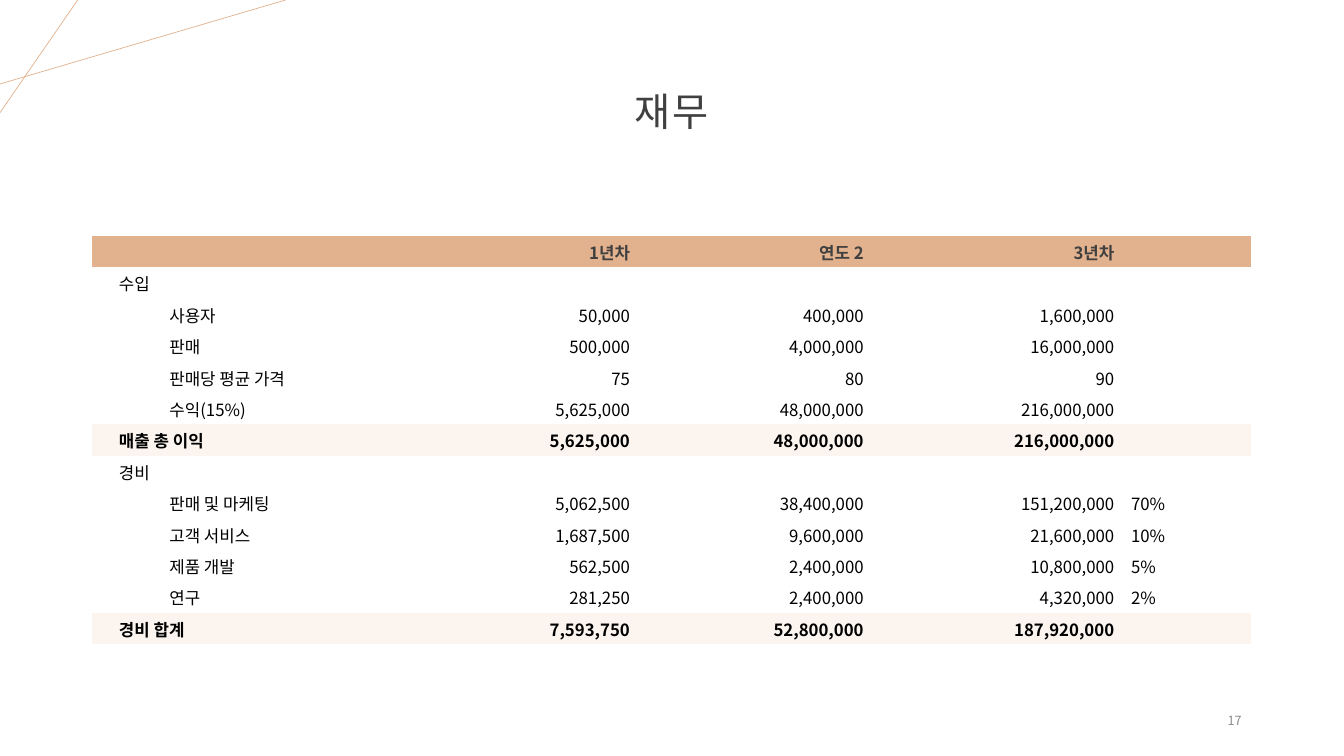
from dataclasses import dataclass

from lxml import etree
from pptx import Presentation
from pptx import util as u
from pptx.dml.color import RGBColor
from pptx.enum import shapes, text
from pptx.oxml.ns import qn

FONT = "Noto Sans CJK KR"
COLORS = {"accent": "E2B18D", "tint": "FBF4EF", "heading": "404040",
          "body": "000000", "muted": "8C8C8C"}
NO_GRID_STYLE = "{2D5ABB26-0587-4C30-8999-92F81FD0307C}"
TABLE_SIZE = 12
COLUMN_WIDTHS = (255, 135, 167, 179, 92)
ROW_HEIGHT = 22.43
LEFT, RIGHT, CENTER = text.PP_ALIGN.LEFT, text.PP_ALIGN.RIGHT, text.PP_ALIGN.CENTER
COLUMN_ALIGNS = (LEFT, RIGHT, RIGHT, RIGHT, LEFT)


@dataclass(frozen=True)
class RowStyle:
    fill: str | None = None
    color: str = "body"
    bold: bool = False
    level: int = 0


@dataclass(frozen=True)
class FinanceRow:
    style: RowStyle
    label: str
    years: tuple[str, str, str] = ("", "", "")
    share: str = ""


@dataclass(frozen=True)
class AccentLine:
    x1: float
    y1: float
    x2: float
    y2: float


HEADER = RowStyle(fill="accent", color="heading", bold=True)
SECTION = RowStyle()
ITEM = RowStyle(level=1)
TOTAL = RowStyle(fill="tint", bold=True)

ROWS = (
    FinanceRow(HEADER, "", ("1년차", "연도 2", "3년차")),
    FinanceRow(SECTION, "수입"),
    FinanceRow(ITEM, "사용자", ("50,000", "400,000", "1,600,000")),
    FinanceRow(ITEM, "판매", ("500,000", "4,000,000", "16,000,000")),
    FinanceRow(ITEM, "판매당 평균 가격", ("75", "80", "90")),
    FinanceRow(ITEM, "수익(15%)", ("5,625,000", "48,000,000", "216,000,000")),
    FinanceRow(TOTAL, "매출 총 이익", ("5,625,000", "48,000,000", "216,000,000")),
    FinanceRow(SECTION, "경비"),
    FinanceRow(ITEM, "판매 및 마케팅", ("5,062,500", "38,400,000", "151,200,000"), "70%"),
    FinanceRow(ITEM, "고객 서비스", ("1,687,500", "9,600,000", "21,600,000"), "10%"),
    FinanceRow(ITEM, "제품 개발", ("562,500", "2,400,000", "10,800,000"), "5%"),
    FinanceRow(ITEM, "연구", ("281,250", "2,400,000", "4,320,000"), "2%"),
    FinanceRow(TOTAL, "경비 합계", ("7,593,750", "52,800,000", "187,920,000")),
)
ACCENT_LINES = (AccentLine(0, 60, 204, 0), AccentLine(55.5, 0, 0, 80.5))


def rgb(name: str) -> RGBColor:
    return RGBColor.from_string(COLORS[name])


def write_text(frame, words: str, *, size: float, color: str, align,
               bold: bool = False, level: int = 0):
    """Fill the first paragraph of a text frame and return it."""
    para = frame.paragraphs[0]
    para.alignment = align
    para.level = level
    if words:
        span = para.add_run()
        span.text = words
        span.font.size = u.Pt(size)
        span.font.bold = bold
        span.font.color.rgb = rgb(color)
        span.font.name = FONT
    return para


def add_accent_line(page, line: AccentLine) -> None:
    connector = page.shapes.add_connector(
        shapes.MSO_CONNECTOR.STRAIGHT,
        *(u.Pt(value) for value in (line.x1, line.y1, line.x2, line.y2)))
    connector.line.color.rgb = rgb("accent")
    connector.line.width = u.Pt(0.5)
    etree.SubElement(connector.element.spPr, qn("a:effectLst"))


def format_title(page, words: str) -> None:
    title = page.shapes.title
    title.left, title.top = u.Pt(66), u.Pt(28.8)
    title.width, title.height = u.Pt(828), u.Pt(104.4)
    title.text_frame.vertical_anchor = text.MSO_ANCHOR.MIDDLE
    para = write_text(title.text_frame, words, size=28, color="heading", align=CENTER)
    para.line_spacing = 0.9
    for properties in title.element.iter(qn("a:rPr")):
        properties.set("spc", "150")


def add_page_number(page, number: str) -> None:
    box = page.shapes.add_textbox(u.Pt(678), u.Pt(500.4), u.Pt(216), u.Pt(28.8))
    box.text_frame.word_wrap = True
    box.text_frame.vertical_anchor = text.MSO_ANCHOR.MIDDLE
    write_text(box.text_frame, number, size=9, color="muted", align=RIGHT)


def format_cell(cell, words: str, column: int, style: RowStyle) -> None:
    cell.margin_left = u.Pt(19 if column == 0 else 6)
    cell.margin_right = u.Pt(6)
    cell.margin_top = cell.margin_bottom = u.Pt(3)
    cell.vertical_anchor = text.MSO_ANCHOR.MIDDLE
    if style.fill:
        cell.fill.solid()
        cell.fill.fore_color.rgb = rgb(style.fill)
    else:
        cell.fill.background()
    write_text(cell.text_frame, words, size=TABLE_SIZE, color=style.color,
               align=COLUMN_ALIGNS[column], bold=style.bold,
               level=style.level if column == 0 else 0)


def add_finance_table(page) -> None:
    box = page.shapes.add_table(
        len(ROWS), len(COLUMN_WIDTHS), u.Pt(66), u.Pt(168.5),
        u.Pt(sum(COLUMN_WIDTHS)), u.Pt(ROW_HEIGHT * len(ROWS)))
    table = box.table
    table.horz_banding = False
    for column, width in zip(table.columns, COLUMN_WIDTHS):
        column.width = u.Pt(width)
    for index, row in enumerate(ROWS):
        table.rows[index].height = u.Pt(ROW_HEIGHT)
        for column, words in enumerate((row.label, *row.years, row.share)):
            format_cell(table.cell(index, column), words, column, row.style)

    for style_id in box.element.iter(qn("a:tableStyleId")):
        style_id.text = NO_GRID_STYLE
    for para in box.element.iter(qn("a:p")):
        if para.find(qn("a:r")) is None:
            etree.SubElement(para, qn("a:endParaRPr"), sz=str(TABLE_SIZE * 100))
    for properties in box.element.iter(qn("a:pPr")):
        if properties.get("lvl") == "1":
            properties.set("marL", str(u.Pt(36)))
            properties.set("indent", "0")


def set_east_asian_font(page) -> None:
    """Give Hangul the same typeface as Latin text."""
    for latin in list(page.element.iter(qn("a:latin"))):
        east_asian = etree.Element(qn("a:ea"), typeface=FONT)
        latin.addnext(east_asian)


def main() -> None:
    deck = Presentation()
    deck.slide_width, deck.slide_height = u.Pt(960), u.Pt(540)
    page = deck.slides.add_slide(deck.slide_layouts.get_by_name("Title Only"))
    for line in ACCENT_LINES:
        add_accent_line(page, line)
    format_title(page, "재무")
    add_page_number(page, "17")
    add_finance_table(page)
    set_east_asian_font(page)
    deck.save("out.pptx")


if __name__ == "__main__":
    main()
